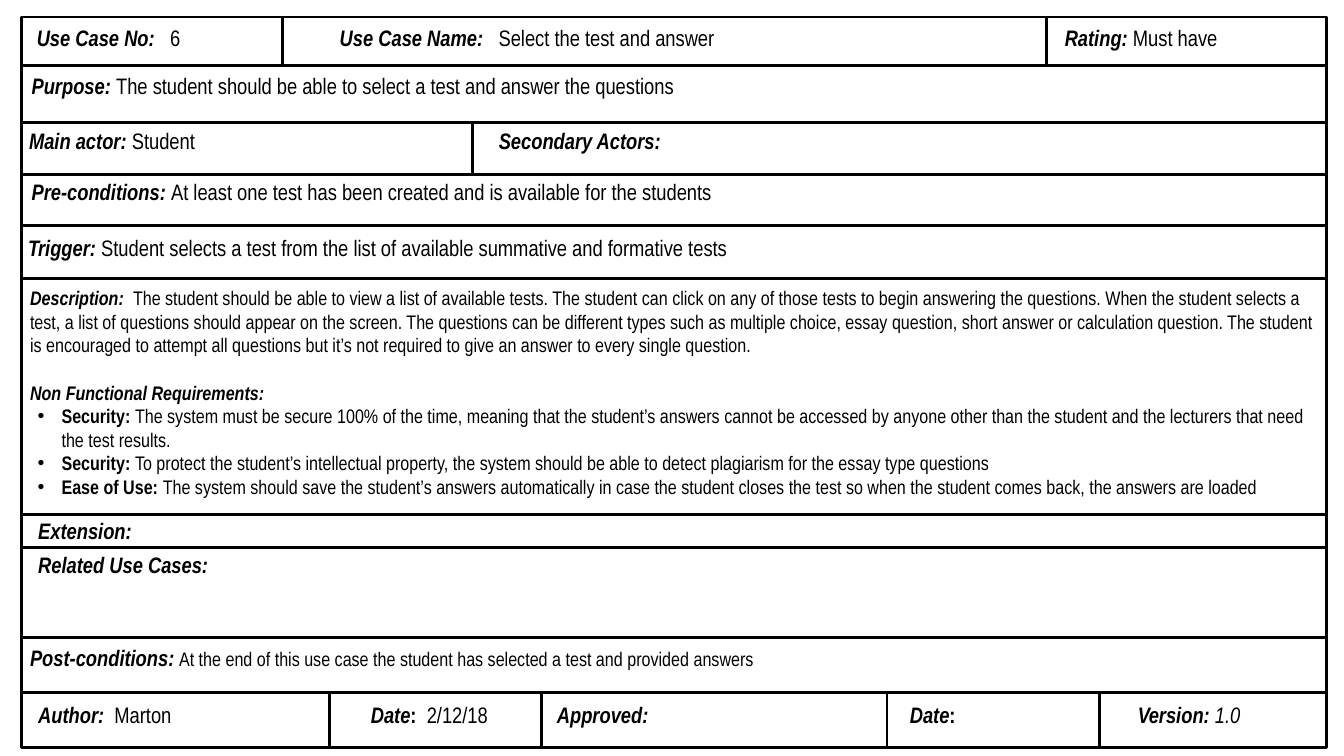
import pptx
import pptx.util
import pptx.dml.color
import pptx.enum.shapes
import pptx.oxml.ns
from lxml import etree

Pt = pptx.util.Pt
BLACK = pptx.dml.color.RGBColor(0, 0, 0)
FONT = "Arial Narrow"
LEFT, TOP, RIGHT, BASE = 15.1, 12.2, 947.5, 534.2
LINE = 2

PLAIN, BOLD, SLANT, BOTH = (False, False), (True, False), (False, True), (True, True)

ROWS = [
    (46.8, 13.7, [
        (19.2, [("Use Case No:   ", BOTH), ("6", PLAIN)]),
        (235.6, [("Use Case Name:   ", BOTH), ("Select the test and answer", PLAIN)]),
        (753.5, [("Rating: ", BOTH), ("Must have", PLAIN)])], [201.6, 747.4]),
    (87.8, 48.2, [
        (15.5, [("Purpose: ", BOTH),
                ("The student should be able to select a test and answer the questions", PLAIN)])], []),
    (124.6, 87.1, [
        (13.7, [("Main actor: ", BOTH), ("Student", PLAIN)]),
        (349.2, [("Secondary Actors:", BOTH)])], [337.7]),
    (161.3, 123.8, [
        (15.5, [("Pre-conditions: ", BOTH),
                ("At least one test has been created and is available for the students", PLAIN)])], []),
    (198.7, 163.4, [
        (13, [("Trigger: ", BOTH),
              ("Student selects a test from the list of available summative and formative tests", PLAIN)])], []),
    (367.6, 200.9, [], []),
    (391.3, 365.8, [(20.2, [("Extension:", BOTH)])], []),
    (455.4, 390.2, [(20.2, [("Related Use Cases:", BOTH)])], []),
    (494.6, 456.5, [
        (14.4, [("Post-conditions:", BOTH), (" ", BOTH, 14),
                ("At the end of this use case the student has selected a test and provided answers", PLAIN, 14)])], []),
    (BASE, 497.5, [
        (20.2, [("Author:  ", BOTH), ("Marton", PLAIN)]),
        (257.8, [("Date", BOTH), (":  ", BOLD), ("2/12/18", PLAIN)]),
        (390.7, [("Approved:", BOTH)]),
        (642.8, [("Date", BOTH), (":", BOLD)]),
        (805.7, [("Version: ", BOTH), ("1.0", SLANT)])], [235.4, 386.6, 633.6, 785.5]),
]

ABOUT = [
    ("Description:  ", BOTH),
    ("The student should be able to view a list of available tests. The student can click on any of those "
     "tests to begin answering the questions. When the student selects a test, a list of questions should "
     "appear on the screen. The questions can be different types such as multiple choice, essay question, "
     "short answer or calculation question. The student is encouraged to attempt all questions but it’s "
     "not required to give an answer to every single question.", PLAIN)]
HEAD = [("Non Functional Requirements:", BOTH)]
NEEDS = [
    ("Security: ", "The system must be secure 100% of the time, meaning that the student’s answers cannot be "
     "accessed by anyone other than the student and the lecturers that need the test results."),
    ("Security: ", "To protect the student’s intellectual property, the system should be able to detect "
     "plagiarism for the essay type questions"),
    ("Ease of Use: ", "The system should save the student’s answers automatically in case the student closes "
     "the test so when the student comes back, the answers are loaded"),
]

deck = pptx.Presentation()
deck.slide_width, deck.slide_height = Pt(960), Pt(540)
slide = deck.slides.add_slide(deck.slide_layouts[6])
shapes = slide.shapes


def add_runs(para, runs, size):
    for text, style, *own in runs:
        run = para.add_run()
        run.text = text
        font = run.font
        font.name, font.size = FONT, Pt(own[0] if own else size)
        font.bold, font.italic = style
        font.color.rgb = BLACK


def add_box(left, top, right, high):
    box = shapes.add_textbox(Pt(left), Pt(top), Pt(right - left), Pt(high))
    box.text_frame.word_wrap = True
    return box.text_frame


def add_rule(x1, y1, x2, y2):
    rule = shapes.add_connector(
        pptx.enum.shapes.MSO_CONNECTOR.STRAIGHT, Pt(x1), Pt(y1), Pt(x2), Pt(y2))
    rule.line.color.rgb, rule.line.width = BLACK, Pt(LINE)
    props = rule._element.spPr
    etree.SubElement(props, pptx.oxml.ns.qn("a:effectLst"))


def add_dot(para):
    props = para._p.get_or_add_pPr()
    props.set("marL", str(Pt(22.5)))
    props.set("indent", str(Pt(-17)))
    face = etree.SubElement(props, pptx.oxml.ns.qn("a:buFont"))
    face.set("typeface", "Arial")
    dot = etree.SubElement(props, pptx.oxml.ns.qn("a:buChar"))
    dot.set("char", "•")


frame = shapes.add_shape(pptx.enum.shapes.MSO_SHAPE.RECTANGLE,
                         Pt(LEFT), Pt(TOP), Pt(RIGHT - LEFT), Pt(BASE - TOP))
frame.shadow.inherit = False
frame.fill.background()
frame.line.color.rgb, frame.line.width = BLACK, Pt(LINE)

upper = TOP
for lower, top, cells, walls in ROWS:
    for (left, runs), right in zip(cells, walls + [RIGHT]):
        add_runs(add_box(left, top, right, 26.6).paragraphs[0], runs, 16)
    for wall in walls:
        add_rule(wall, upper, wall, lower)
    if lower < BASE:
        add_rule(LEFT, lower, RIGHT, lower)
    upper = lower

body = add_box(14.4, 200.9, RIGHT, 166)
add_runs(body.paragraphs[0], ABOUT, 14)
para = body.add_paragraph()
para.space_before = Pt(17)
add_runs(para, HEAD, 14)
for name, need in NEEDS:
    para = body.add_paragraph()
    add_dot(para)
    add_runs(para, [(name, BOLD), (need, PLAIN)], 14)

deck.save("out.pptx")
